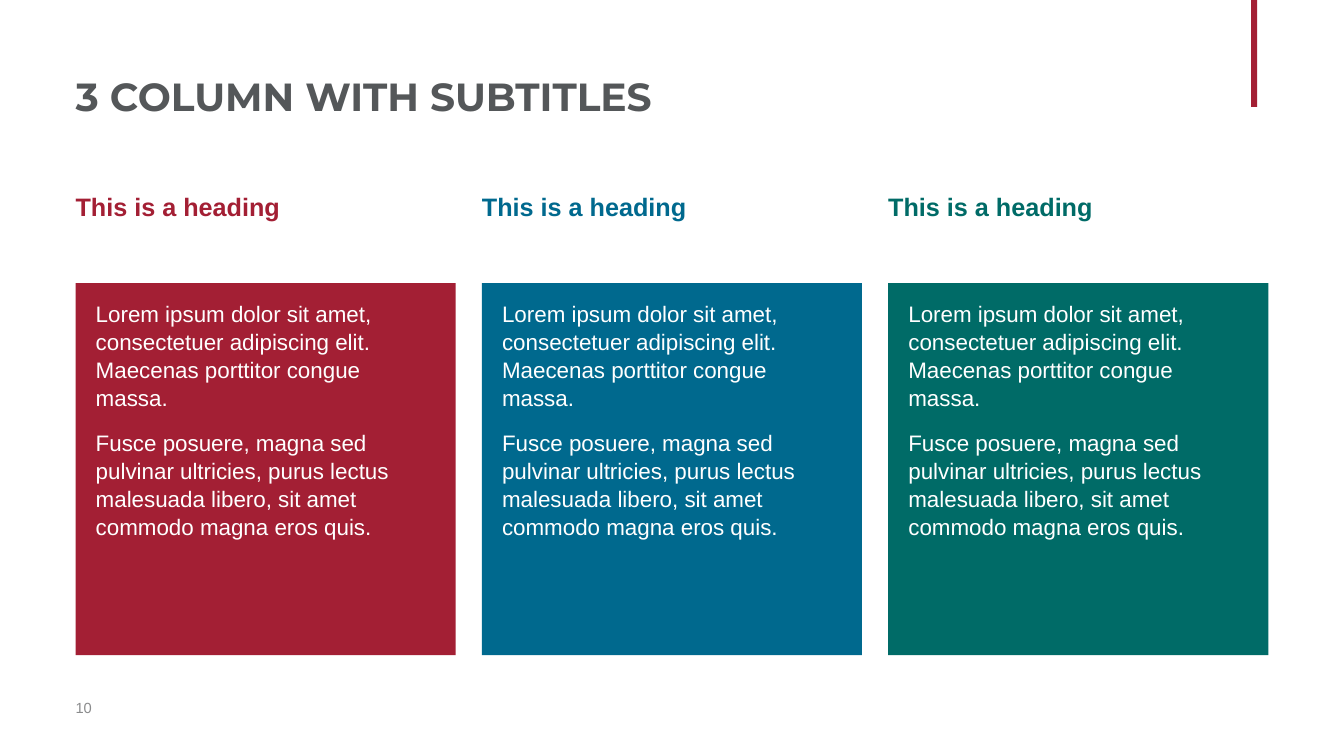
"""Build a title slide with three coloured columns, each under a heading."""
from dataclasses import dataclass

from pptx import Presentation
from pptx.dml.color import RGBColor
from pptx.enum.shapes import MSO_SHAPE
from pptx.enum.text import MSO_ANCHOR, MSO_AUTO_SIZE, PP_ALIGN
from pptx.util import Emu, Pt

SCALE = 9144
LEFT, STEP, WIDTH = 75, 403, 377
HEADING = "This is a heading"
BODY = (
    "Lorem ipsum dolor sit amet, consectetuer adipiscing elit. "
    "Maecenas porttitor congue massa.",
    "Fusce posuere, magna sed pulvinar ultricies, purus lectus "
    "malesuada libero, sit amet commodo magna eros quis.",
)


@dataclass(frozen=True)
class Style:
    size: float
    hue: str
    font: str = "Arial"
    bold: bool = False
    after: float = 0
    pitch: float = 1.0
    inset: tuple[int, int, int, int] = (0, 5, 10, 5)
    anchor: MSO_ANCHOR = MSO_ANCHOR.TOP


@dataclass(frozen=True)
class Column:
    hue: str
    heading: str = HEADING
    body: tuple[str, ...] = BODY


COLUMNS = (Column("A31F34"), Column("00698E"), Column("006B67"))


def px(count: int) -> Emu:
    return Emu(count * SCALE)


def color(code: str) -> RGBColor:
    return RGBColor.from_string(code)


def write(shape, texts: tuple[str, ...], style: Style) -> None:
    frame = shape.text_frame
    frame.word_wrap = True
    frame.auto_size = MSO_AUTO_SIZE.NONE
    frame.vertical_anchor = style.anchor
    (frame.margin_left, frame.margin_top,
     frame.margin_right, frame.margin_bottom) = map(px, style.inset)
    for index, text in enumerate(texts):
        para = frame.add_paragraph() if index else frame.paragraphs[0]
        para.alignment = PP_ALIGN.LEFT
        para.line_spacing = style.pitch
        para.space_before = Pt(0)
        para.space_after = Pt(style.after)
        run = para.add_run()
        run.text = text
        run.font.size = Pt(style.size)
        run.font.name = style.font
        run.font.bold = style.bold
        run.font.color.rgb = color(style.hue)


def block(slide, x: int, y: int, w: int, h: int, hue: str):
    shape = slide.shapes.add_shape(MSO_SHAPE.RECTANGLE, *map(px, (x, y, w, h)))
    shape.shadow.inherit = False
    shape.fill.solid()
    shape.fill.fore_color.rgb = color(hue)
    shape.line.fill.background()
    return shape


def label(slide, x: int, y: int, w: int, h: int, text: str, style: Style) -> None:
    box = slide.shapes.add_textbox(*map(px, (x, y, w, h)))
    write(box, (text,), style)


def column(slide, x: int, item: Column) -> None:
    head = Style(18, item.hue, bold=True, after=12, pitch=1.1, inset=(0, 0, 10, 5))
    label(slide, x, 187, WIDTH, 93, item.heading, head)
    card = block(slide, x, 281, WIDTH, 369, item.hue)
    write(card, item.body,
          Style(16, "FFFFFF", after=12, pitch=1.04, inset=(20, 16, 20, 16)))


def main() -> None:
    deck = Presentation()
    deck.slide_width, deck.slide_height = px(1333), px(750)
    slide = deck.slides.add_slide(deck.slide_layouts[5])
    block(slide, 1241, 0, 6, 106, "A31F34")
    title = slide.shapes.title
    title.left, title.top, title.width, title.height = map(px, (LEFT, 33, 982, 124))
    write(title, ("3 COLUMN WITH SUBTITLES",),
          Style(28, "545759", "Montserrat", True, anchor=MSO_ANCHOR.MIDDLE))
    for index, item in enumerate(COLUMNS):
        column(slide, LEFT + index * STEP, item)
    label(slide, LEFT, 682, 27, 40, "10",
          Style(10.5, "8A8B8C", inset=(0, 5, 0, 5), anchor=MSO_ANCHOR.MIDDLE))
    deck.save("out.pptx")


if __name__ == "__main__":
    main()
